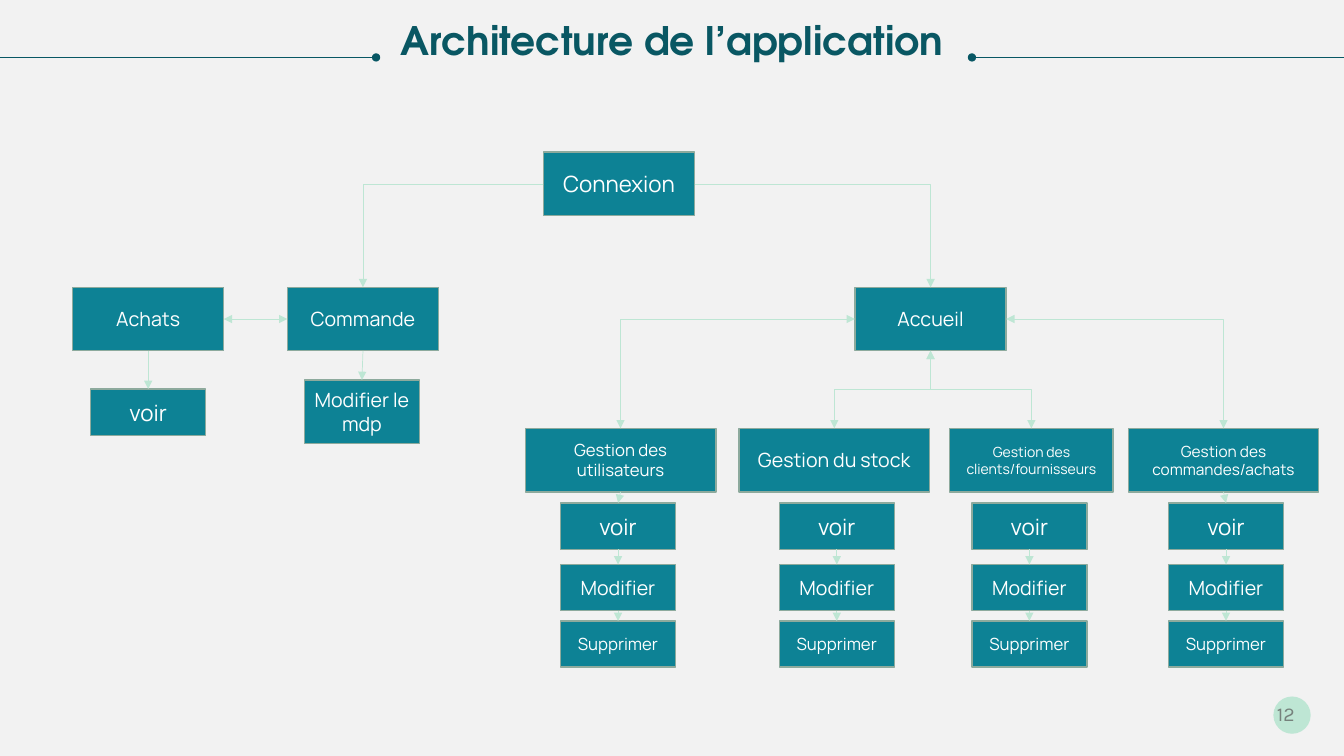
from pptx import Presentation, util as u
from pptx.dml.color import RGBColor
from pptx.enum import shapes, text
from pptx.oxml.ns import qn
from lxml import etree

W, H = 13.33, 7.5
TEAL, EDGE, MINT, DARK = "0D8295", "8DAA9D", "BEE6D4", "085764"
TOP, LEFT, BOTTOM, RIGHT = range(4)

TITLE = "Architecture de l’application"
PAGE = "12"

# sizes of the three kinds of box: width, height
MAIN, WIDE, STEP = (1.5, 0.63), (1.89, 0.63), (1.14, 0.46)
ROWS = {"login": 1.51, "home": 2.85, "menu": 4.25}

# label, left, top, size of box, size of text
NODES = [
    ("Connexion", 5.39, ROWS["login"], MAIN, 16),
    ("Accueil", 8.48, ROWS["home"], MAIN, 14),
    ("Achats", 0.72, ROWS["home"], MAIN, 14),
    ("Commande", 2.85, ROWS["home"], MAIN, 14),
    ("voir", 0.9, 3.86, STEP, 16),
    ("Modifier le mdp", 3.02, 3.77, (1.14, 0.63), 14),
]
# label, left, box, size of text, left of its steps, linked to first step
MENUS = [
    ("Gestion des utilisateurs", 5.21, WIDE, 12, 5.56, True),
    ("Gestion du stock", 7.33, WIDE, 14, 7.73, False),
    ("Gestion des clients/fournisseurs", 9.42, (1.62, 0.63), 10, 9.64, False),
    ("Gestion des commandes/achats", 11.19, WIDE, 11, 11.59, True),
]
STEPS = [("voir", 4.99, 16), ("Modifier", 5.6, 14), ("Supprimer", 6.16, 12)]

# from, side, to, side, bends, arrow at both ends
LINKS = [
    ("Connexion", RIGHT, "Accueil", TOP, 1, False),
    ("Connexion", LEFT, "Commande", TOP, 1, False),
    ("Commande", LEFT, "Achats", RIGHT, 0, True),
    ("Accueil", LEFT, "Gestion des utilisateurs", TOP, 1, True),
    ("Accueil", BOTTOM, "Gestion du stock", TOP, 2, True),
    ("Accueil", BOTTOM, "Gestion des clients/fournisseurs", TOP, 2, True),
    ("Accueil", RIGHT, "Gestion des commandes/achats", TOP, 1, True),
    ("Achats", BOTTOM, "voir", TOP, 0, False),
    ("Commande", BOTTOM, "Modifier le mdp", TOP, 0, False),
]

prs = Presentation()
prs.slide_width, prs.slide_height = u.Inches(W), u.Inches(H)
slide = prs.slides.add_slide(prs.slide_layouts[6])


def rgb(code):
    return RGBColor.from_string(code)


def inch(*vals):
    return [u.Inches(v) for v in vals]


def paint(target, code):
    target.fill.solid()
    target.fill.fore_color.rgb = rgb(code)


def write(shape, words, font, align, **frame):
    tf = shape.text_frame
    for key, val in {"word_wrap": True, **frame}.items():
        setattr(tf, key, val)
    para = tf.paragraphs[0]
    para.alignment = align
    run = para.add_run()
    run.text = words
    for key, val in font.items():
        if key == "color":
            run.font.color.rgb = rgb(val)
        else:
            setattr(run.font, key, val)
    return para


def box(words, x, y, size, pts):
    shape = slide.shapes.add_shape(shapes.MSO_SHAPE.RECTANGLE, *inch(x, y, *size))
    shape.shadow.inherit = False
    paint(shape, TEAL)
    shape.line.color.rgb = rgb(EDGE)
    shape.line.width = u.Pt(1)
    font = {"name": "Manrope", "size": u.Pt(pts), "color": "FFFFFF"}
    write(shape, words, font, text.PP_ALIGN.CENTER,
          vertical_anchor=text.MSO_ANCHOR.MIDDLE)
    return shape


def style(line, code, **ends):
    """Colour a connector, drop its shadow and add its headEnd or tailEnd."""
    line.line.color.rgb = rgb(code)
    line.line.width = u.Pt(0.5)
    props = line._element.spPr
    for end in ("headEnd", "tailEnd"):
        if end in ends:
            etree.SubElement(props.find(qn("a:ln")), qn("a:" + end), type=ends[end])
    etree.SubElement(props, qn("a:effectLst"))


def link(start, side, stop, goal, bends=0, both=False):
    kind = shapes.MSO_CONNECTOR.ELBOW if bends else shapes.MSO_CONNECTOR.STRAIGHT
    line = slide.shapes.add_connector(kind, 0, 0, 0, 0)
    line.begin_connect(start, side)
    line.end_connect(stop, goal)
    if bends == 1:
        line._element.spPr.find(qn("a:prstGeom")).set("prst", "bentConnector2")
    elif bends == 2:
        turn(line)
    ends = {"headEnd": "triangle"} if both else {}
    style(line, MINT, tailEnd="triangle", **ends)


def turn(line):
    """Rotate a downward elbow a quarter so that it leaves vertically."""
    x, y, w, h = line.left, line.top, line.width, line.height
    right = line.end_x > line.begin_x
    line.left, line.top = x + (w - h) // 2, y + (h - w) // 2
    line.width, line.height = h, w
    frame = line._element.spPr.find(qn("a:xfrm"))
    for key, val in {"rot": 5400000, "flipH": 0, "flipV": int(right)}.items():
        frame.set(key, str(val))


paint(slide.background, "F2F2F2")

# page number
disc = slide.shapes.add_shape(shapes.MSO_SHAPE.OVAL, *inch(12.63, 6.91, 0.37, 0.37))
disc.shadow.inherit = False
paint(disc, MINT)
disc.line.fill.background()
page = slide.shapes.add_textbox(*inch(12.43, 6.81, 0.51, 0.54))
para = write(page, PAGE, {"name": "Karla", "size": u.Pt(14), "color": "585858"},
             text.PP_ALIGN.RIGHT, vertical_anchor=text.MSO_ANCHOR.MIDDLE)
tint = para._p.find(".//" + qn("a:srgbClr"))
etree.SubElement(tint, qn("a:alpha"), val="70000")

# title between two rules
title = slide.shapes.add_textbox(*inch(0.25, 0.21, 12.83, 0.85))
edges = dict.fromkeys(
    ("margin_left", "margin_top", "margin_right", "margin_bottom"), 0)
font = {"name": "TeX Gyre Adventor", "size": u.Pt(28), "bold": True, "color": "095763"}
write(title, TITLE, font, text.PP_ALIGN.CENTER, **edges).line_spacing = 0.9
for x1, x2, end in ((0, 3.73, "tailEnd"), (9.64, W, "headEnd")):
    rule = slide.shapes.add_connector(
        shapes.MSO_CONNECTOR.STRAIGHT, *inch(x1, 0.57, x2, 0.57))
    style(rule, DARK, **{end: "oval"})

# tree
nodes = {node[0]: box(*node) for node in NODES}
for label, x, size, pts, left, joined in MENUS:
    nodes[label] = box(label, x, ROWS["menu"], size, pts)
    chain = [box(name, left, y, STEP, big) for name, y, big in STEPS]
    if joined:
        chain.insert(0, nodes[label])
    for upper, lower in zip(chain, chain[1:]):
        link(upper, BOTTOM, lower, TOP)
for start, side, stop, goal, bends, both in LINKS:
    link(nodes[start], side, nodes[stop], goal, bends, both)

prs.save("out.pptx")
